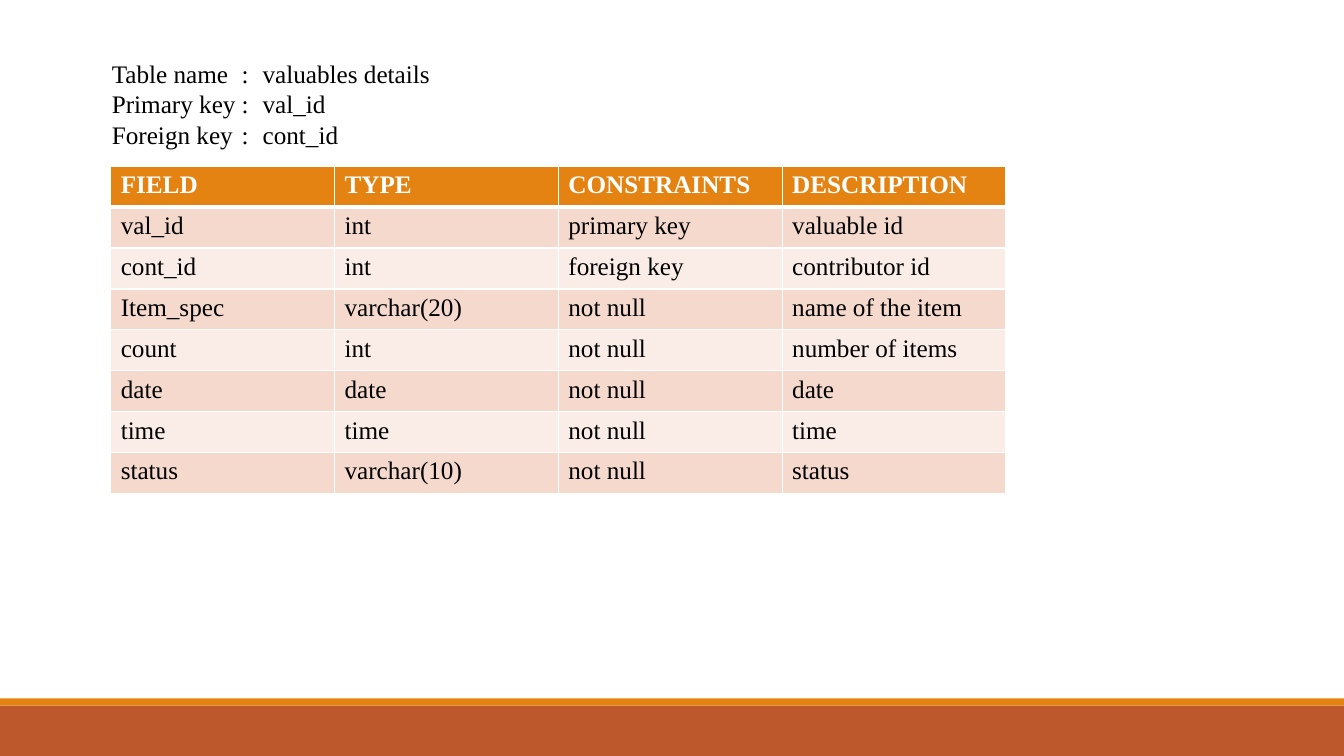
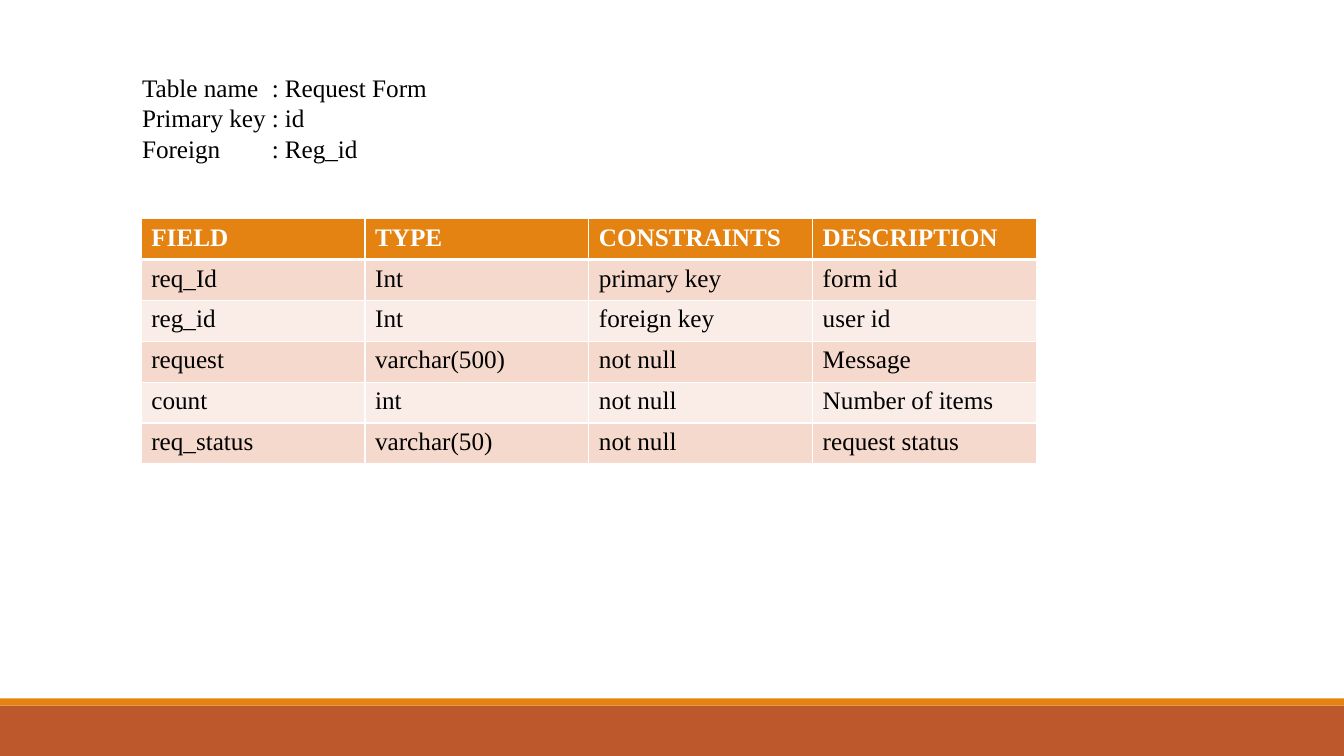
"""Build two slides that describe database tables."""
import pptx
import pptx.dml.color
import pptx.enum.shapes
import pptx.enum.text
import pptx.oxml.ns
import pptx.util
from lxml import etree

Cm, Pt = pptx.util.Cm, pptx.util.Pt
FONT = "Times New Roman"
RUST, ORANGE, WHITE, BLACK = "BD582C", "E48312", "FFFFFF", "000000"
STRIPES = ["FAEDE7", "F5D9CC"]
COL_W, ROW_H = Cm(5.64), Cm(1.03)
COLON_TAB = Cm(3.27)
HEADER = ["FIELD", "TYPE", "CONSTRAINTS", "DESCRIPTION"]


def rgb(value):
    return pptx.dml.color.RGBColor.from_string(value)


def style_text(p, color, bold=False):
    p.font.name = FONT
    p.font.size = Pt(18)
    p.font.bold = bold
    p.font.color.rgb = rgb(color)


prs = pptx.Presentation()
prs.slide_width, prs.slide_height = Cm(33.87), Cm(19.05)

bands = [(Cm(17.78), Cm(1.27), RUST), (Cm(17.6), Cm(0.18), ORANGE)]

slides = [
    {
        "summary": [("Table name", "valuables details"), ("Primary key", "val_id"),
                    ("Foreign key", "cont_id")],
        "summary_at": (Cm(2.57), Cm(1.35), Cm(8.66), Cm(2.57)),
        "value_tab": Cm(3.8),
        "table_at": (Cm(2.79), Cm(4.19)),
        "rows": [
            ["val_id", "int", "primary key", "valuable id"],
            ["cont_id", "int", "foreign key", "contributor id"],
            ["Item_spec", "varchar(20)", "not null", "name of the item"],
            ["count", "int", "not null", "number of items"],
            ["date", "date", "not null", "date"],
            ["time", "time", "not null", "time"],
            ["status", "varchar(10)", "not null", "status"],
        ],
    },
    {
        "summary": [("Table name", "Request Form"), ("Primary key", "id"),
                    ("Foreign", "Reg_id")],
        "summary_at": (Cm(3.33), Cm(1.7), Cm(16.94), Cm(2.57)),
        "value_tab": Cm(3.6),
        "table_at": (Cm(3.56), Cm(5.51)),
        "rows": [
            ["req_Id", "Int", "primary key", "form id"],
            ["reg_id", "Int", "foreign key", "user id"],
            ["request", "varchar(500)", "not null", "Message"],
            ["count", "int", "not null", "Number of items"],
            ["req_status", "varchar(50)", "not null", "request status"],
        ],
    },
]

for spec_data in slides:
    s = prs.slides.add_slide(prs.slide_layouts[6])

    for top, height, color in bands:
        sp = s.shapes.add_shape(pptx.enum.shapes.MSO_SHAPE.RECTANGLE,
                                0, top, prs.slide_width, height)
        sp.shadow.inherit = False
        sp.fill.solid()
        sp.fill.fore_color.rgb = rgb(color)
        sp.line.fill.background()

    rows = [HEADER] + spec_data["rows"]
    table = s.shapes.add_table(len(rows), len(HEADER), *spec_data["table_at"],
                               COL_W * len(HEADER), ROW_H * len(rows)).table
    for col in table.columns:
        col.width = COL_W
    for i, row in enumerate(rows):
        table.rows[i].height = ROW_H
        for j, text in enumerate(row):
            cell = table.cell(i, j)
            cell.text = text
            style_text(cell.text_frame.paragraphs[0], BLACK if i else WHITE, i == 0)
            tcPr = cell._tc.get_or_add_tcPr()
            for side in "LRTB":
                thick = (i, side) in [(0, "B"), (1, "T")]
                ln = etree.SubElement(tcPr, pptx.oxml.ns.qn("a:ln" + side),
                                      w=str(Pt(3 if thick else 1)))
                fill = etree.SubElement(ln, pptx.oxml.ns.qn("a:solidFill"))
                etree.SubElement(fill, pptx.oxml.ns.qn("a:srgbClr"), val=WHITE)
            cell.fill.solid()
            cell.fill.fore_color.rgb = rgb(STRIPES[i % 2] if i else ORANGE)

    tf = s.shapes.add_textbox(*spec_data["summary_at"]).text_frame
    tf.word_wrap = True
    tf.auto_size = pptx.enum.text.MSO_AUTO_SIZE.SHAPE_TO_FIT_TEXT
    for i, (label, value) in enumerate(spec_data["summary"]):
        p = tf.add_paragraph() if i else tf.paragraphs[0]
        p.text = f"{label}\t:\t{value}"
        style_text(p, BLACK)
        tabs = etree.Element(pptx.oxml.ns.qn("a:tabLst"))
        for pos in (COLON_TAB, spec_data["value_tab"]):
            etree.SubElement(tabs, pptx.oxml.ns.qn("a:tab"), pos=str(int(pos)), algn="l")
        p._p.get_or_add_pPr().insert(0, tabs)

prs.save("out.pptx")
